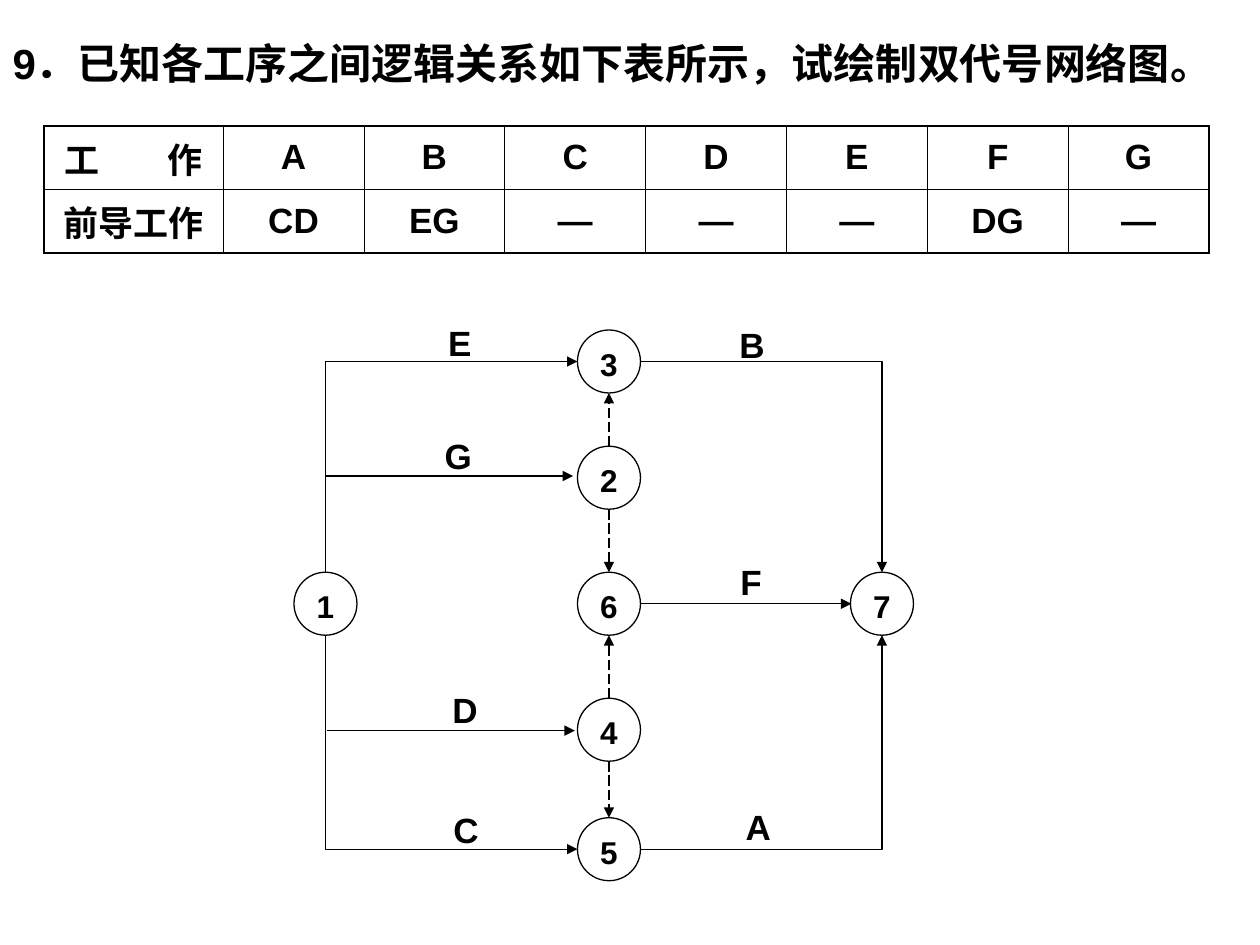
import pptx
import pptx.dml.color
import pptx.enum.dml
import pptx.enum.shapes
import pptx.enum.text
import pptx.oxml
import pptx.oxml.ns
import pptx.util
from lxml import etree

Pt = pptx.util.Pt
ALIGN = pptx.enum.text.PP_ALIGN
ANCHOR = pptx.enum.text.MSO_ANCHOR
CONNECTOR = pptx.enum.shapes.MSO_CONNECTOR
BLACK = "000000"

TITLE = "9．已知各工序之间逻辑关系如下表所示，试绘制双代号网络图。"
ROWS = [
    ["工\t作", "A", "B", "C", "D", "E", "F", "G"],
    ["前导工作", "CD", "EG", "—", "—", "—", "DG", "—"],
]
FIRST_COLUMN, OTHER_COLUMN, ROW_HEIGHT = 102.2, 80.5, 36
THIN, THICK = 0.45, 1.08

RADIUS = 18
NODES = {
    "1": (186, 345),
    "2": (348, 273),
    "3": (348, 206.6),
    "4": (348, 417),
    "5": (348, 485.3),
    "6": (348, 345),
    "7": (504, 345),
}
DUMMIES = [("2", "3"), ("2", "6"), ("4", "6"), ("4", "5")]
STRAIGHTS = [(186, 272, 327.5), (187, 417.5, 328.5), (366, 345, 486.5)]
ELBOWS = [("3", "1", "headEnd"), ("5", "1", "headEnd"),
          ("3", "7", "tailEnd"), ("5", "7", "tailEnd")]
LABELS = {
    "E": (249, 180),
    "G": (247, 245),
    "B": (415.5, 181.5),
    "A": (419, 457),
    "C": (252, 458.5),
    "D": (251.5, 390),
    "F": (416, 317),
}


def color(value):
    return pptx.dml.color.RGBColor.from_string(value)


def tag(name):
    return pptx.oxml.ns.qn("a:" + name)


def write(frame, text, size=20, align=ALIGN.LEFT, anchor=ANCHOR.TOP, tab=None):
    frame.word_wrap = True
    frame.vertical_anchor = anchor
    para = frame.paragraphs[0]
    para.alignment = align
    if tab:
        stops = etree.SubElement(para._p.get_or_add_pPr(), tag("tabLst"))
        etree.SubElement(stops, tag("tab"), pos=str(Pt(tab)), algn="l")
    para.space_before = Pt(0)
    span = para.add_run()
    span.text = text
    span.font.name = "Arial"
    span.font.size = Pt(size)
    span.font.bold = True
    span.font.color.rgb = color(BLACK)


def border(cell, side, width):
    line = etree.SubElement(cell._tc.get_or_add_tcPr(), tag("ln" + side), w=str(Pt(width)))
    fill = etree.SubElement(line, tag("solidFill"))
    etree.SubElement(fill, tag("srgbClr"), val=BLACK)


def add_arrow(page, start, end, kind=CONNECTOR.STRAIGHT, dashed=False, arrow="tailEnd"):
    link = page.shapes.add_connector(kind, *map(Pt, start + end))
    link.line.color.rgb = color(BLACK)
    link.line.width = Pt(0.75)
    if dashed:
        link.line.dash_style = pptx.enum.dml.MSO_LINE.LONG_DASH
    etree.SubElement(link.line._get_or_add_ln(), tag(arrow), type="triangle")
    properties = link._element.spPr
    etree.SubElement(properties, tag("effectLst"))
    if kind == CONNECTOR.ELBOW:
        properties.find(tag("prstGeom")).set("prst", "bentConnector2")


def add_table(page):
    count = len(ROWS[0])
    width = FIRST_COLUMN + OTHER_COLUMN * (count - 1)
    table = page.shapes.add_table(
        len(ROWS), count, Pt(25.3), Pt(72), Pt(width), Pt(ROW_HEIGHT * len(ROWS))).table
    for index, column in enumerate(table.columns):
        column.width = Pt(OTHER_COLUMN if index else FIRST_COLUMN)
    for r, values in enumerate(ROWS):
        table.rows[r].height = Pt(ROW_HEIGHT)
        for c, text in enumerate(values):
            cell = table.cell(r, c)
            outer = {"L": c == 0, "R": c == count - 1, "T": r == 0, "B": r == len(ROWS) - 1}
            for side, edge in outer.items():
                border(cell, side, THICK if edge else THIN)
            cell.fill.background()
            cell.vertical_anchor = ANCHOR.MIDDLE
            if "\t" in text:
                cell.margin_left = Pt(11.5)
                write(cell.text_frame, text, anchor=None, tab=59)
            else:
                write(cell.text_frame, text, align=ALIGN.CENTER, anchor=None)
            cell.vertical_anchor = ANCHOR.MIDDLE


def add_network(page):
    for name, (x, y) in NODES.items():
        node = page.shapes.add_shape(
            pptx.enum.shapes.MSO_SHAPE.OVAL,
            Pt(x - RADIUS), Pt(y - RADIUS), Pt(2 * RADIUS), Pt(2 * RADIUS))
        node.shadow.inherit = False
        node.fill.background()
        node.line.color.rgb = color(BLACK)
        node.line.width = Pt(0.75)
        frame = node.text_frame
        frame.margin_left = frame.margin_right = frame.margin_bottom = 0
        frame.margin_top = Pt(3)
        write(frame, name, size=18, align=ALIGN.CENTER, anchor=ANCHOR.MIDDLE)
    for first, last in DUMMIES:
        (x, top), (_, bottom) = NODES[first], NODES[last]
        step = RADIUS if bottom > top else -RADIUS
        add_arrow(page, (x, top + step), (x, bottom - step), dashed=True)
    for left, y, right in STRAIGHTS:
        add_arrow(page, (left, y), (right, y))
    for first, last, arrow in ELBOWS:
        (x1, y1), (x2, y2) = NODES[first], NODES[last]
        across = RADIUS if x2 > x1 else -RADIUS
        down = RADIUS if y2 > y1 else -RADIUS
        add_arrow(page, (x1 + across, y1), (x2, y2 - down), CONNECTOR.ELBOW, arrow=arrow)
    for text, (left, top) in LABELS.items():
        box = page.shapes.add_textbox(Pt(left), Pt(top), Pt(36), Pt(31.5))
        write(box.text_frame, text)


def main():
    deck = pptx.Presentation()
    deck.slide_width, deck.slide_height = Pt(720), Pt(540)
    page = deck.slides.add_slide(deck.slide_layouts[5])
    title = page.shapes.title
    title.left, title.top, title.width, title.height = Pt(0), Pt(18), Pt(720), Pt(36)
    title.text_frame.auto_size = pptx.enum.text.MSO_AUTO_SIZE.NONE
    write(title.text_frame, TITLE, size=24)
    add_table(page)
    add_network(page)
    deck.save("out.pptx")


if __name__ == "__main__":
    main()
